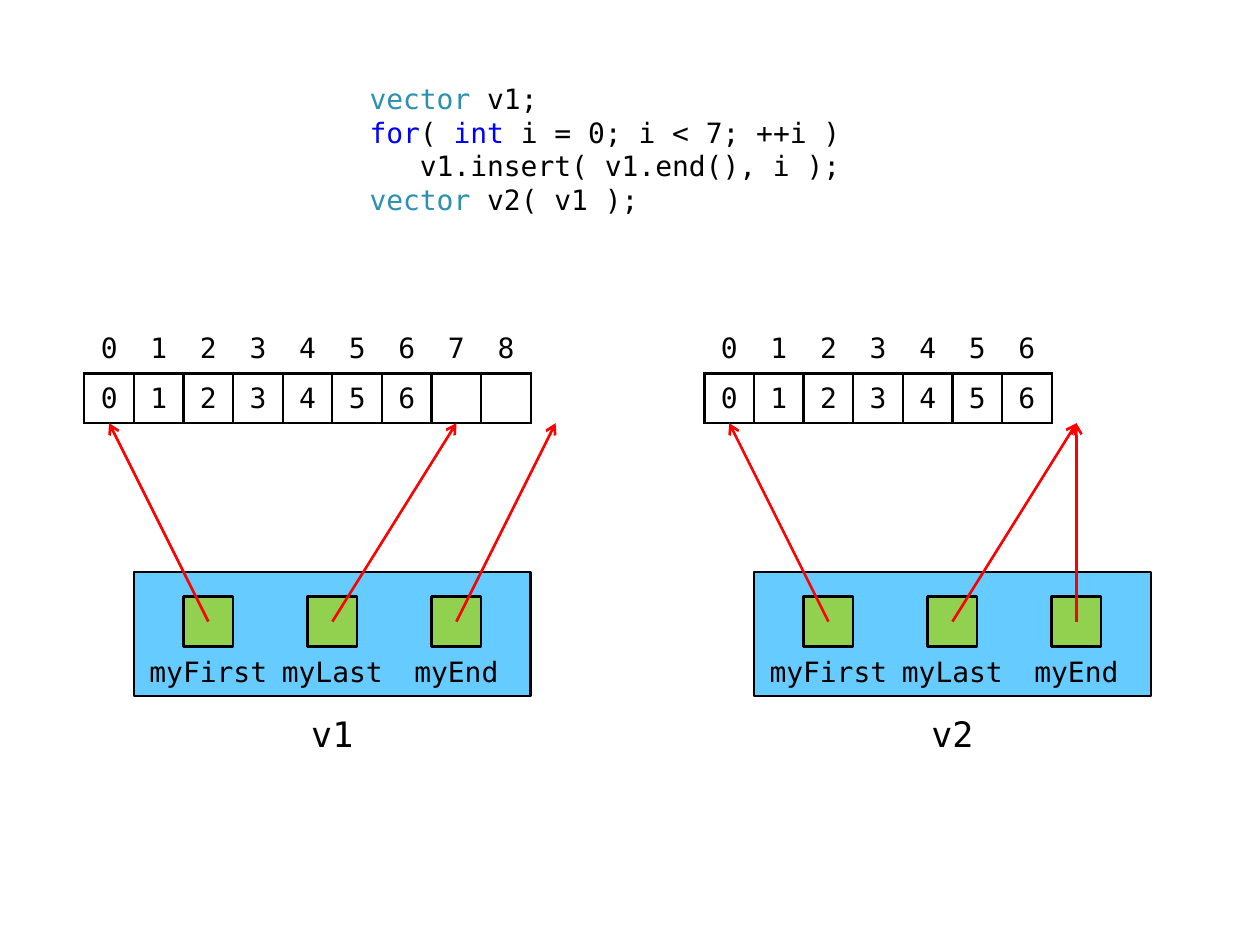
from dataclasses import dataclass

from lxml import etree
from pptx import Presentation
from pptx.dml.color import RGBColor
from pptx.enum.shapes import MSO_CONNECTOR, MSO_SHAPE
from pptx.enum.text import MSO_ANCHOR, PP_ALIGN
from pptx.oxml.ns import qn
from pptx.util import Cm, Inches, Pt

LINE = MSO_CONNECTOR.STRAIGHT
RECT = MSO_SHAPE.RECTANGLE
PANEL = MSO_SHAPE.FLOWCHART_PROCESS
MID = MSO_ANCHOR.MIDDLE
TOP = MSO_ANCHOR.TOP
CENTER = PP_ALIGN.CENTER
LEFT = PP_ALIGN.LEFT


@dataclass(frozen=True)
class Theme:
    font: str = "DejaVu Sans Mono"
    ink: str = "000000"
    type: str = "2B91AF"
    key: str = "0000FF"
    panel: str = "66CCFF"
    slot: str = "92D050"
    arrow: str = "FF0000"
    body: int = 16
    name: int = 20
    rule: float = 1.5


T = Theme()
UNIT = Cm(1)  # side of one array cell; every place is counted in cells

# Code lines: indent in characters, then (text, colour) runs
CODE = [
    (0, [("vector", T.type), (" v1;", T.ink)]),
    (0, [("for", T.key), ("( ", T.ink), ("int", T.key),
         (" i = 0; i < 7; ++i )", T.ink)]),
    (3, [("v1.insert( v1.end(), i );", T.ink)]),
    (0, [("vector", T.type), (" v2( v1 );", T.ink)]),
]
FIELDS = ["myFirst", "myLast", "myEnd"]
# Name, left edge, capacity, cells the three fields point at
VECTORS = [("v1", 1.7, 9, (0, 7, 9)), ("v2", 14.2, 7, (0, 7, 7))]
USED = 7


def grid(*cells):
    return [round(c * UNIT) for c in cells]


def add_run(para, text, size=T.body, color=T.ink):
    run = para.add_run()
    run.text = text
    run.font.name = T.font
    run.font.size = Pt(size)
    run.font.color.rgb = RGBColor.from_string(color)


def add_text(slide, box, anchor=MID):
    frame = slide.shapes.add_textbox(*grid(*box)).text_frame
    frame.word_wrap = True
    frame.vertical_anchor = anchor
    return frame


def add_label(slide, box, text, size=T.body):
    para = add_text(slide, box).paragraphs[0]
    para.alignment = CENTER
    add_run(para, text, size)


def add_box(slide, kind, box, fill):
    shape = slide.shapes.add_shape(kind, *grid(*box))
    shape.shadow.inherit = False
    shape.fill.solid()
    shape.fill.fore_color.rgb = RGBColor.from_string(fill)
    shape.line.color.rgb = RGBColor.from_string(T.ink)
    shape.line.width = Pt(T.rule)


def add_arrow(slide, start, end):
    arrow = slide.shapes.add_connector(LINE, *grid(*start, *end))
    arrow.line.color.rgb = RGBColor.from_string(T.arrow)
    arrow.line.width = Pt(T.rule)
    etree.SubElement(arrow.line._get_or_add_ln(), qn("a:tailEnd"), type="arrow")
    etree.SubElement(arrow._element.spPr, qn("a:effectLst"))


def set_edges(cell, sides):
    props = cell._tc.get_or_add_tcPr()
    for side in sides:
        edge = etree.SubElement(props, qn("a:ln" + side), w=str(Pt(T.rule)))
        fill = etree.SubElement(edge, qn("a:solidFill"))
        etree.SubElement(fill, qn("a:srgbClr"), val=T.ink)


def add_code(slide, box):
    frame = add_text(slide, box, TOP)
    for i, (indent, runs) in enumerate(CODE):
        para = frame.paragraphs[0] if i == 0 else frame.add_paragraph()
        para.alignment = LEFT
        margin = Pt(indent * T.body * 0.6)
        para._p.get_or_add_pPr().set("marL", str(margin))
        for text, color in runs:
            add_run(para, text, color=color)


def add_array(slide, box, size):
    table = slide.shapes.add_table(2, size, *grid(*box)).table
    table.first_row = table.horz_banding = False
    for line in (*table.columns, *table.rows):
        if hasattr(line, "width"):
            line.width = UNIT
        else:
            line.height = UNIT
    for row, sides in enumerate(("B", "LRTB")):
        for col in range(size):
            cell = table.cell(row, col)
            set_edges(cell, sides)
            cell.fill.background()
            cell.vertical_anchor = MID
            cell.margin_left = cell.margin_right = Inches(0.06)
            cell.margin_top = cell.margin_bottom = Inches(0.04)
            if row == 0 or col < USED:
                para = cell.text_frame.paragraphs[0]
                para.alignment = CENTER
                add_run(para, str(col))


def add_vector(slide, x, y, name, size, targets):
    # Indices above the stored values
    add_array(slide, (x, y, size, 2), size)

    # Object panel with its three pointer fields
    add_box(slide, PANEL, (x + 1, y + 5, 8, 2.5), T.panel)
    lefts = [x + 1 + 2.5 * i for i in range(len(FIELDS))]
    for left, field in zip(lefts, FIELDS):
        add_label(slide, (left, y + 6.5, 3, 1), field)
        add_box(slide, RECT, (left + 1, y + 5.5, 1, 1), T.slot)

    # Pointers into the array
    for left, cell in zip(lefts, targets):
        add_arrow(slide, (left + 1.5, y + 6), (x + cell + 0.5, y + 2))

    # Name under the panel
    add_label(slide, (x + 3, y + 7.5, 4, 1.5), name, T.name)


def main():
    deck = Presentation()
    deck.slide_width, deck.slide_height = Inches(10), Inches(7.5)
    slide = deck.slides.add_slide(deck.slide_layouts[6])
    add_code(slide, (7.2, 1.52, 11, 3))
    for name, left, size, targets in VECTORS:
        add_vector(slide, left, 6.53, name, size, targets)
    deck.save("out.pptx")


if __name__ == "__main__":
    main()
